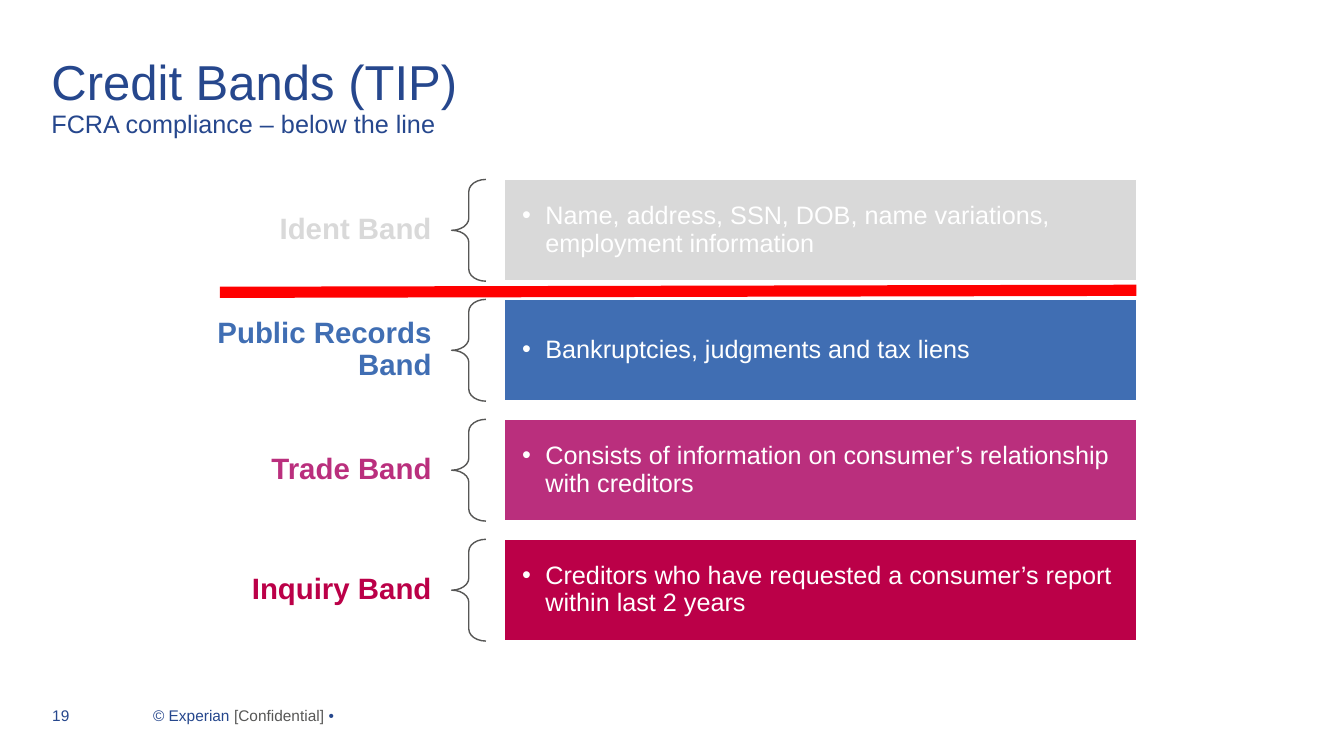
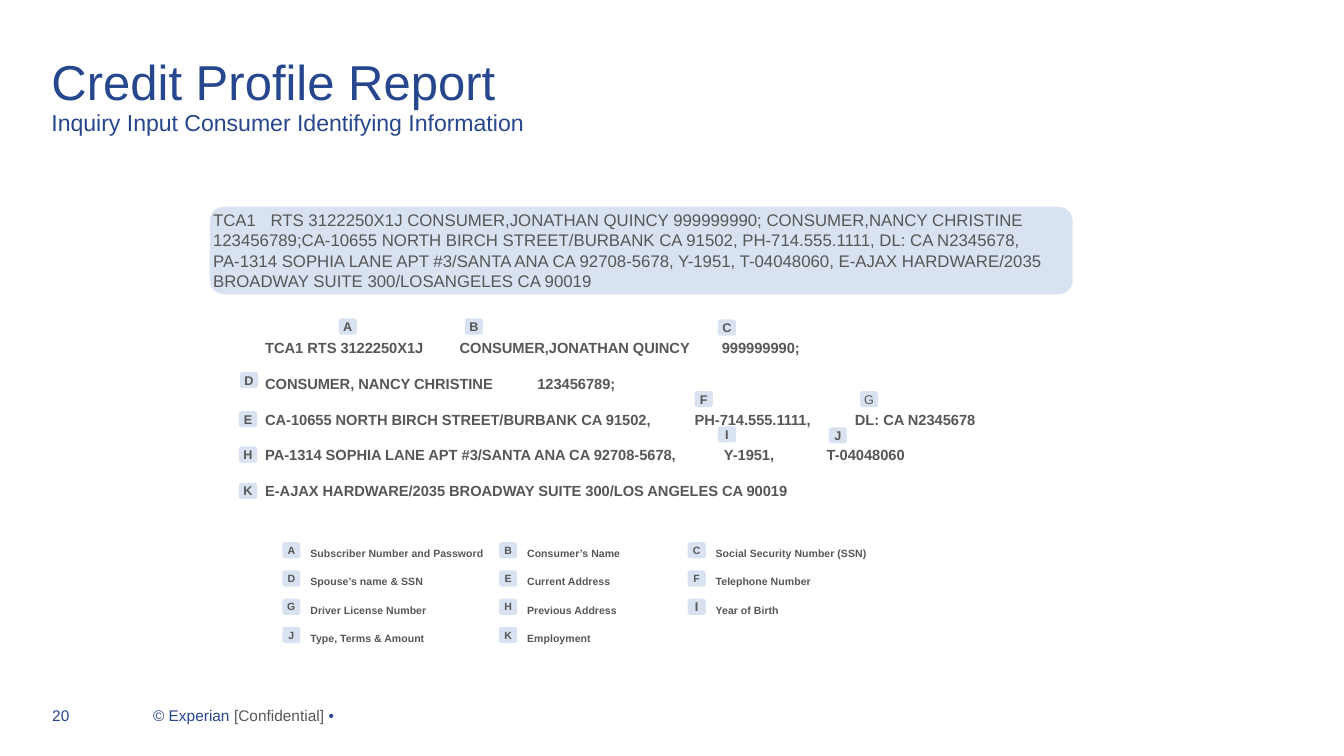
import lxml.etree
import pptx
import pptx.dml.color
import pptx.enum.shapes
import pptx.enum.text
import pptx.oxml.ns
import pptx.util

Inches = pptx.util.Inches
Pt = pptx.util.Pt
RGBColor = pptx.dml.color.RGBColor
Align = pptx.enum.text.PP_ALIGN
Anchor = pptx.enum.text.MSO_ANCHOR
Preset = pptx.enum.shapes.MSO_SHAPE
qn = pptx.oxml.ns.qn

NAVY = RGBColor(0x26, 0x47, 0x8D)
GRAY = RGBColor(0x57, 0x57, 0x56)
SILVER = RGBColor(0xD9, 0xD9, 0xD9)
BLUE = RGBColor(0x40, 0x6E, 0xB3)
MAGENTA = RGBColor(0xBA, 0x2F, 0x7D)
CRIMSON = RGBColor(0xBB, 0x00, 0x48)
PALE_BLUE = RGBColor(0xD8, 0xE2, 0xF1)
RED = RGBColor(0xFF, 0x00, 0x00)
WHITE = RGBColor(0xFF, 0xFF, 0xFF)
FONT = "Arial"

CREDIT_BANDS = [
    ("Ident Band", SILVER,
     "Name, address, SSN, DOB, name variations, employment information"),
    ("Public Records Band", BLUE, "Bankruptcies, judgments and tax liens"),
    ("Trade Band", MAGENTA,
     "Consists of information on consumer’s relationship with creditors"),
    ("Inquiry Band", CRIMSON,
     "Creditors who have requested a consumer’s report within last 2 years"),
]

INQUIRY = (
    "TCA1\tRTS 3122250X1J CONSUMER,JONATHAN QUINCY 999999990; "
    "CONSUMER,NANCY CHRISTINE 123456789;CA-10655 NORTH BIRCH STREET/BURBANK CA 91502, "
    "PH-714.555.1111, DL: CA N2345678, PA-1314 SOPHIA LANE APT #3/SANTA ANA CA 92708-5678, "
    "Y-1951, T-04048060, E-AJAX HARDWARE/2035 BROADWAY SUITE 300/LOSANGELES CA 90019"
)

# Each line of the inquiry with its tab stops in inches
INQUIRY_LINES = [
    ("TCA1 RTS 3122250X1J\tCONSUMER,JONATHAN QUINCY\t999999990;", (1.93, 4.53)),
    ("CONSUMER, NANCY CHRISTINE\t123456789;", (2.7,)),
    ("CA-10655 NORTH BIRCH STREET/BURBANK CA 91502,\tPH-714.555.1111,\tDL: CA N2345678",
     (4.26, 5.85)),
    ("PA-1314 SOPHIA LANE APT #3/SANTA ANA CA 92708-5678,\tY-1951,\tT-04048060",
     (4.55, 5.57)),
    ("E-AJAX HARDWARE/2035 BROADWAY SUITE 300/LOS ANGELES CA 90019", ()),
]

MARKERS = {
    "A": (3.36, 3.16), "B": (4.61, 3.16), "C": (7.12, 3.17), "D": (2.38, 3.69),
    "E": (2.37, 4.08), "F": (6.89, 3.88), "G": (8.53, 3.88), "H": (2.37, 4.43),
    "I": (7.12, 4.23), "J": (8.22, 4.24), "K": (2.37, 4.79),
}

LEGEND = {
    "A": "Subscriber Number and Password", "B": "Consumer’s Name",
    "C": "Social Security Number (SSN)", "D": "Spouse’s name & SSN",
    "E": "Current Address", "F": "Telephone Number", "G": "Driver License Number",
    "H": "Previous Address", "I": "Year of Birth", "J": "Type, Terms & Amount",
    "K": "Employment",
}
LEGEND_COLUMNS = (2.8, 4.95, 6.82)


class Deck:
    def __init__(self):
        self.prs = pptx.Presentation()
        self.prs.slide_width = Inches(13.33)
        self.prs.slide_height = Inches(7.5)
        self.slide = None

    def add_slide(self, number, title, subtitle, subtitle_size):
        self.slide = self.prs.slides.add_slide(self.prs.slide_layouts[5])
        heading = self.slide.shapes.title
        heading.left, heading.top = Inches(0.51), Inches(0.58)
        heading.width, heading.height = Inches(12.31), Inches(1.1)
        self.set_frame(heading, (0, 0))
        heading.text_frame.auto_size = pptx.enum.text.MSO_AUTO_SIZE.NONE
        heading.text_frame.text = f"{title}\n{subtitle}"
        for paragraph, size in zip(heading.text_frame.paragraphs, (35, subtitle_size)):
            self.style(paragraph, size, NAVY, align=Align.LEFT, spacing=0.9)
        self.footer(number)

    def footer(self, number):
        frame = self.text_box((0.42, 6.96, 8.63, 0.29), (0.1, 0.05)).text_frame
        paragraph = frame.paragraphs[0]
        parts = ((f"{number}\t© Experian ", NAVY), ("[Confidential] ", GRAY), ("•", NAVY))
        for text, color in parts:
            run = paragraph.add_run()
            run.text = text
            self.style_run(run, 11, color)
        self.set_tabs(paragraph, (1,))

    def set_frame(self, shape, insets, anchor=Anchor.TOP, wrap=True):
        frame = shape.text_frame
        frame.margin_left = frame.margin_right = Inches(insets[0])
        frame.margin_top = frame.margin_bottom = Inches(insets[1])
        frame.vertical_anchor = anchor
        frame.word_wrap = wrap

    def style_run(self, run, size, color, bold=False):
        run.font.name = FONT
        run.font.size = Pt(size)
        run.font.bold = bold
        run.font.color.rgb = color

    def style(self, paragraph, size, color, bold=False, align=Align.LEFT, spacing=None):
        paragraph.alignment = align
        paragraph.line_spacing = spacing
        for run in paragraph.runs:
            self.style_run(run, size, color, bold)

    def set_tabs(self, paragraph, stops):
        tabs = lxml.etree.SubElement(paragraph._p.get_or_add_pPr(), qn("a:tabLst"))
        for stop in stops:
            lxml.etree.SubElement(tabs, qn("a:tab"), pos=str(Inches(stop)), algn="l")

    def set_bullet(self, paragraph, indent):
        properties = paragraph._p.get_or_add_pPr()
        properties.set("marL", str(Inches(indent)))
        properties.set("indent", str(-Inches(indent)))
        lxml.etree.SubElement(properties, qn("a:buFont"), typeface=FONT)
        lxml.etree.SubElement(properties, qn("a:buChar"), char="•")

    def text_box(self, box, insets, anchor=Anchor.TOP):
        shape = self.slide.shapes.add_textbox(*map(Inches, box))
        self.set_frame(shape, insets, anchor)
        return shape

    def label(self, box, text, size, color, insets=(0.1, 0.05), anchor=Anchor.TOP,
              align=Align.LEFT, spacing=None):
        frame = self.text_box(box, insets, anchor).text_frame
        frame.text = text
        self.style(frame.paragraphs[0], size, color, True, align, spacing)

    def shape(self, preset, box, fill=None, line=None, line_width=1):
        shape = self.slide.shapes.add_shape(preset, *map(Inches, box))
        shape.shadow.inherit = False
        if fill is None:
            shape.fill.background()
        else:
            shape.fill.solid()
            shape.fill.fore_color.rgb = fill
        if line is None:
            shape.line.fill.background()
        else:
            shape.line.color.rgb = line
            shape.line.width = Pt(line_width)
        return shape

    def brace(self, box):
        brace = self.shape(Preset.LEFT_BRACE, box, line=GRAY)
        brace.adjustments[0] = 0.35
        brace.adjustments[1] = 0.5

    def bullet_panel(self, box, text, fill):
        panel = self.shape(Preset.RECTANGLE, box, fill, WHITE)
        self.set_frame(panel, (0.18, 0.18), Anchor.MIDDLE)
        panel.text_frame.text = text
        paragraph = panel.text_frame.paragraphs[0]
        self.style(paragraph, 18, WHITE, spacing=0.9)
        self.set_bullet(paragraph, 0.23)

    def callout(self, box, text, tab_stops):
        callout = self.shape(Preset.ROUNDED_RECTANGLE, box, PALE_BLUE, WHITE, 1.5)
        self.set_frame(callout, (0, 0))
        callout.text_frame.text = text
        paragraph = callout.text_frame.paragraphs[0]
        self.style(paragraph, 12, GRAY)
        self.set_tabs(paragraph, tab_stops)

    def badge(self, left, top, letter, size, bold=True):
        badge = self.shape(Preset.ROUNDED_RECTANGLE, (left, top, 0.18, 0.16), PALE_BLUE)
        self.set_frame(badge, (0.08, 0.04), Anchor.MIDDLE, wrap=False)
        badge.text_frame.text = letter
        self.style(badge.text_frame.paragraphs[0], size, GRAY, bold, Align.CENTER)

    def tabbed_lines(self, box, lines):
        frame = self.text_box(box, (0.08, 0.04)).text_frame
        frame.text = "\n".join(text for text, _ in lines)
        for index, (paragraph, (_, stops)) in enumerate(zip(frame.paragraphs, lines)):
            self.style(paragraph, 10.5, GRAY, True)
            if index:
                paragraph.space_before = Pt(13)
            if stops:
                self.set_tabs(paragraph, stops)

    def rule(self, start, end, color, width):
        rule = self.slide.shapes.add_connector(
            pptx.enum.shapes.MSO_CONNECTOR.STRAIGHT, *map(Inches, start + end))
        rule.line.color.rgb = color
        rule.line.width = Pt(width)
        lxml.etree.SubElement(rule._element.spPr, qn("a:effectLst"))


def credit_bands(deck):
    deck.add_slide(19, "Credit Bands (TIP)", "FCRA compliance – below the line", 18)
    for index, (name, color, contents) in enumerate(CREDIT_BANDS):
        top = 1.78 + 1.19 * index
        deck.label((1.84, top, 2.51, 1.01), name, 21, color, (0.07, 0.07),
                   Anchor.MIDDLE, Align.RIGHT, 0.9)
        deck.brace((4.48, top, 0.34, 1.01))
        deck.bullet_panel((5, top, 6.27, 1.01), contents, color)
    deck.rule((2.18, 2.9), (11.27, 2.88), RED, 8)


def credit_profile_report(deck):
    deck.add_slide(20, "Credit Profile Report",
                   "Inquiry Input Consumer Identifying Information", 16.5)
    deck.callout((2.07, 2.04, 8.58, 0.89), INQUIRY, (0.57,))
    for index, (letter, meaning) in enumerate(LEGEND.items()):
        row, column = divmod(index, len(LEGEND_COLUMNS))
        left, top = LEGEND_COLUMNS[column], 5.38 + 0.28 * row
        deck.label((left + 0.18, top, 1.95, 0.23), meaning, 7.5, GRAY)
        deck.badge(left, top, letter, 9 if letter == "I" else 7.5)
    deck.tabbed_lines((2.55, 3.32, 7.63, 1.67), INQUIRY_LINES)
    for letter, (left, top) in MARKERS.items():
        deck.badge(left, top, letter, 9, bold=letter != "G")


def main():
    deck = Deck()
    credit_bands(deck)
    credit_profile_report(deck)
    deck.prs.save("out.pptx")


if __name__ == "__main__":
    main()
